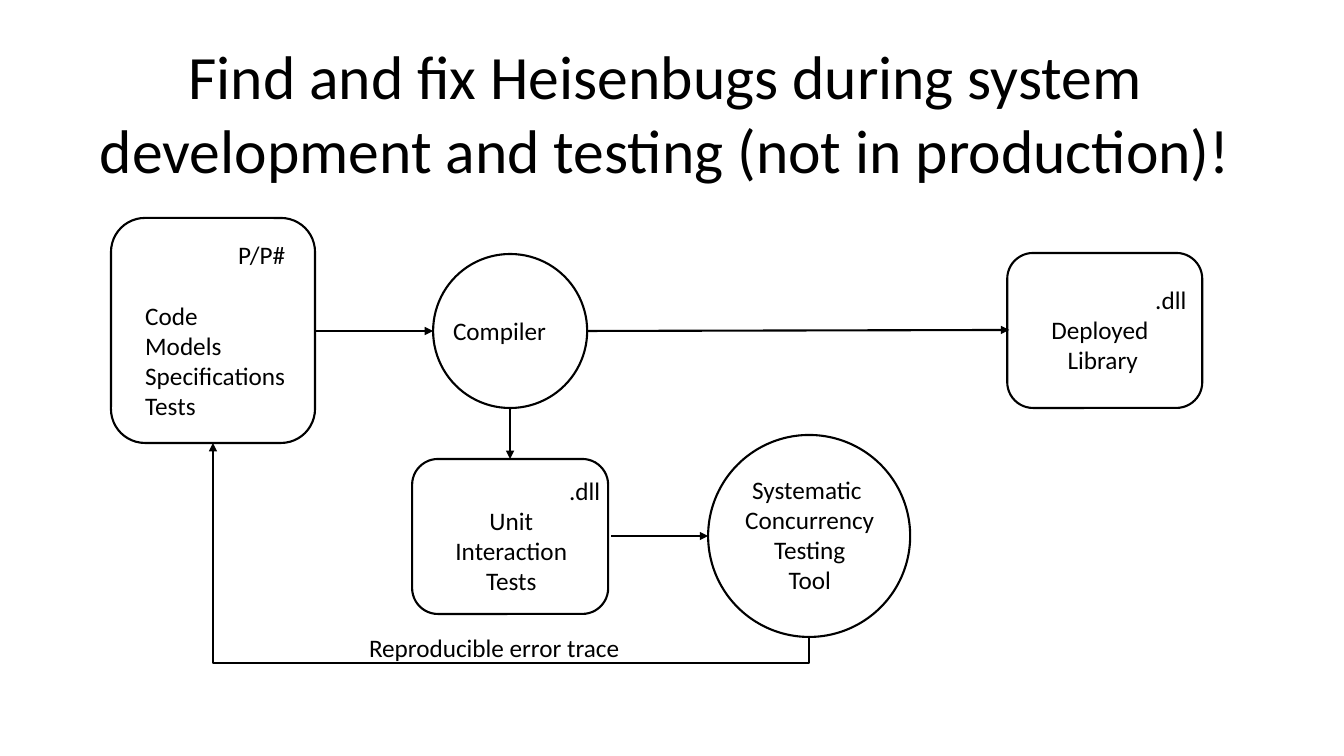
from lxml import etree
from pptx import Presentation
from pptx import util as u
from pptx.dml.color import RGBColor
from pptx.enum import shapes, text
from pptx.oxml.ns import qn

PX = u.Inches(1) / 100.8
BLACK = "000000"
FONT = "Calibri"
LEFT, CENTER, RIGHT = text.PP_ALIGN.LEFT, text.PP_ALIGN.CENTER, text.PP_ALIGN.RIGHT
BOX, CIRCLE = shapes.MSO_SHAPE.ROUNDED_RECTANGLE, shapes.MSO_SHAPE.OVAL


def emu(*pixels):
    """Turn pixel lengths into EMU."""
    return [u.Emu(round(n * PX)) for n in pixels]


def color(hex_code):
    """Turn a hex string into a colour."""
    return RGBColor.from_string(hex_code)


def add_outline(slide, kind, *frame):
    """Add an unfilled shape with a black outline."""
    sp = slide.shapes.add_shape(kind, *emu(*frame))
    sp.shadow.inherit = False
    sp.fill.background()
    sp.line.color.rgb = color(BLACK)
    sp.line.width = u.Pt(1.5)


def add_text(slide, frame, lines, align=LEFT, size=18, wrap=False, tag=None, gap=0):
    """Add lines of text, below an optional right-aligned tag and a gap in points."""
    tf = slide.shapes.add_textbox(*emu(*frame)).text_frame
    tf.word_wrap = wrap
    tf.auto_size = text.MSO_AUTO_SIZE.SHAPE_TO_FIT_TEXT
    tf.text = "\n".join([tag] + lines if tag else lines)
    for p in tf.paragraphs:
        p.alignment = align
        for r in p.runs:
            r.font.name = FONT
            r.font.size = u.Pt(size)
            r.font.color.rgb = color(BLACK)
    if tag:
        tf.paragraphs[0].alignment = RIGHT
        tf.paragraphs[0].space_after = u.Pt(gap)


def add_arrow(slide, start, end, kind=shapes.MSO_CONNECTOR.STRAIGHT):
    """Add a connector with a triangle head at its end."""
    cxn = slide.shapes.add_connector(kind, *emu(*start, *end))
    cxn.line.color.rgb = color(BLACK)
    cxn.line.width = u.Pt(1.5)
    head = etree.SubElement(cxn.line._get_or_add_ln(), qn("a:tailEnd"))
    head.set("type", "triangle")
    etree.SubElement(cxn._element.spPr, qn("a:effectLst"))
    return cxn


def add_return_arrow(slide, start, end, drop):
    """Add an arrow that drops below start, runs left and rises to end."""
    cx, cy = (start[0] + end[0]) / 2, (start[1] + end[1]) / 2
    run, rise = start[0] - end[0], start[1] - end[1]
    # The elbow is laid out on its side, then turned by 90 degrees.
    cxn = add_arrow(slide, (cx + rise / 2, cy - run / 2),
                    (cx - rise / 2, cy + run / 2), shapes.MSO_CONNECTOR.ELBOW)
    sp_pr = cxn._element.spPr
    sp_pr.find(qn("a:xfrm")).set("rot", str(90 * 60000))
    guides = sp_pr.find(qn("a:prstGeom")).find(qn("a:avLst"))
    guide = etree.SubElement(guides, qn("a:gd"))
    guide.set("name", "adj1")
    guide.set("fmla", f"val {round(-drop / rise * 100000)}")


def main():
    """Build the testing workflow slide."""
    prs = Presentation()
    prs.slide_width, prs.slide_height = u.Inches(13.33), u.Inches(7.5)
    slide = prs.slides.add_slide(prs.slide_layouts[6])

    add_text(slide, (84, 33, 1163, 159),
             ["Find and fix Heisenbugs during system",
              "development and testing (not in production)!"], CENTER, size=44)

    for kind, *frame in [
        (BOX, 111, 218, 204, 225),
        (CIRCLE, 433, 254, 154, 154),
        (CIRCLE, 708, 435, 202, 202),
        (BOX, 412, 459, 196, 155),
        (BOX, 1007, 253, 195, 155),
    ]:
        add_outline(slide, kind, *frame)

    add_text(slide, (130, 234, 165, 194),
             ["Code ", "Models", "Specifications", "Tests"], tag="P/P#", gap=22)
    add_text(slide, (443, 310, 114, 40), ["Compiler"])
    add_text(slide, (734, 469, 151, 132),
             ["Systematic ", "Concurrency", "Testing", "Tool"], CENTER)
    add_text(slide, (418, 470, 192, 132),
             ["Unit ", "Interaction ", "Tests "], CENTER, wrap=True, tag=".dll")
    add_text(slide, (1009, 279, 187, 102),
             ["Deployed ", "Library"], CENTER, wrap=True, tag=".dll")
    add_text(slide, (359, 627, 273, 40), ["Reproducible error trace"])

    for start, end in [
        ((315, 331), (433, 331)),
        ((587, 331), (1009, 330)),
        ((510, 408), (510, 459)),
        ((611, 536), (708, 536)),
    ]:
        add_arrow(slide, start, end)
    add_return_arrow(slide, (809, 637), (213, 443), drop=26)

    prs.save("out.pptx")


main()
